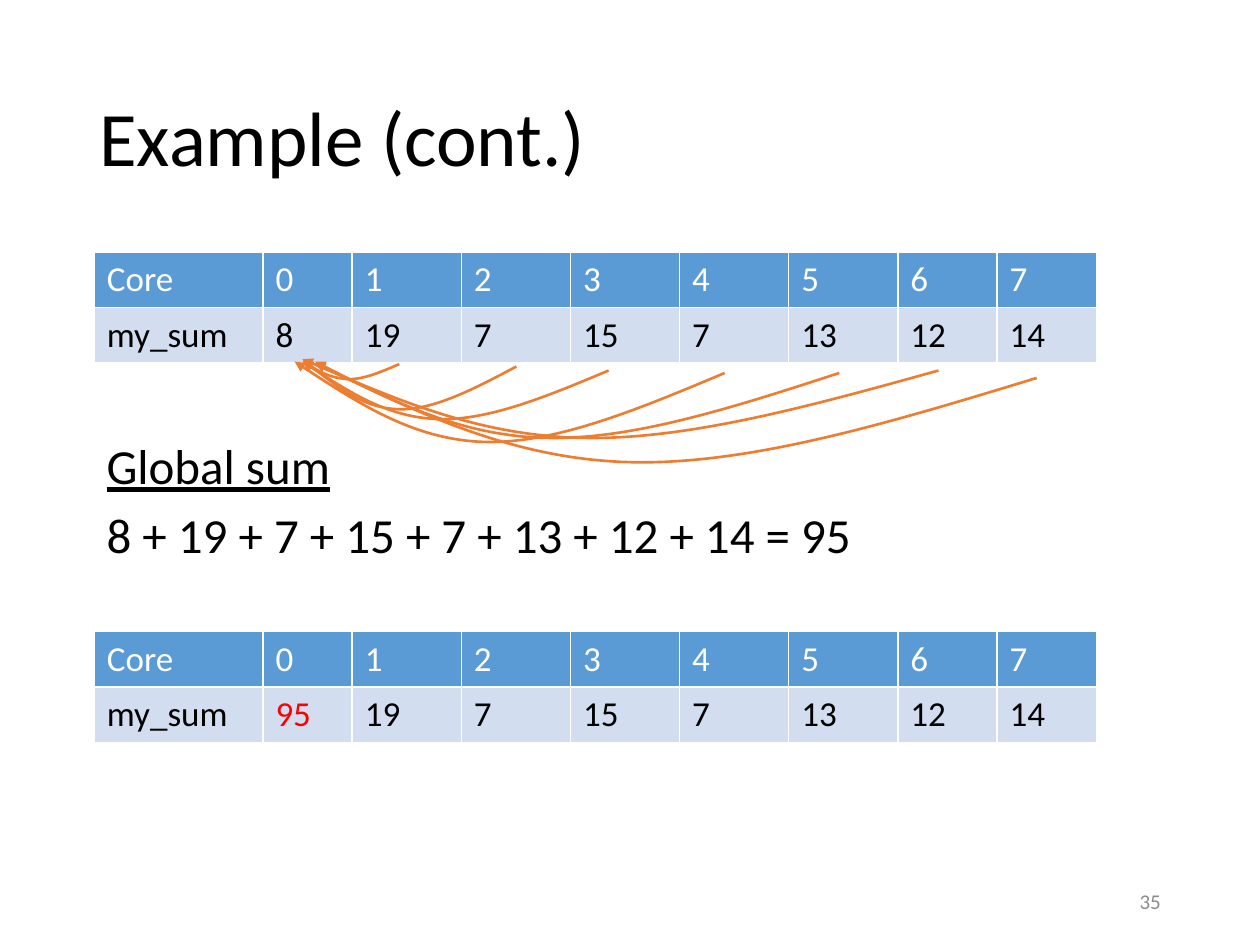
from lxml.etree import SubElement
from pptx import Presentation
from pptx.dml.color import RGBColor
from pptx.enum.text import MSO_ANCHOR, PP_ALIGN
from pptx.oxml.ns import qn
from pptx.util import Cm, Pt

hues = {
    "black": "000000", "white": "FFFFFF", "head": "5B9BD5", "band": "D2DEEF",
    "red": "FF0000", "grey": "8C8C8C", "curve": "ED7D31",
}


def tint(name):
    return RGBColor.from_string(hues[name])


def write(para, text, size, hue="black", line=False):
    run = para.add_run()
    run.text = text
    font = run.font
    font.name, font.size, font.bold = "Calibri", Pt(size), False
    font.underline = line
    font.color.rgb = tint(hue)


deck = Presentation()
deck.slide_width, deck.slide_height = Cm(25.4), Cm(19.05)
slide = deck.slides.add_slide(deck.slide_layouts[5])
shapes = slide.shapes

title = shapes.title
title.left, title.top, title.width, title.height = Cm(1.75), Cm(1.02), Cm(21.9), Cm(3.68)
title.text_frame.vertical_anchor = MSO_ANCHOR.MIDDLE
para = title.text_frame.paragraphs[0]
para.alignment = PP_ALIGN.LEFT
para.line_spacing = 0.9
write(para, "Example (cont.)", 44)

widths = [3.4, 1.8] + [2.2] * 5 + [2] * 2
sums = [8, 19, 7, 15, 7, 13, 12, 14]
total = sum(sums)
for top, first in ((5.08, sums[0]), (12.73, total)):
    rows = [["Core", *range(8)], ["my_sum", first, *sums[1:]]]
    table = shapes.add_table(2, 9, Cm(1.9), Cm(top), Cm(sum(widths)), Cm(2.2)).table
    for col, width in zip(table.columns, widths):
        col.width = Cm(width)
    for r, row in enumerate(rows):
        table.rows[r].height = Cm(1.1)
        for c, value in enumerate(row):
            cell = table.cell(r, c)
            cell.fill.solid()
            cell.fill.fore_color.rgb = tint("band" if r else "head")
            hue = "red" if value == total else "black" if r else "white"
            write(cell.text_frame.paragraphs[0], str(value), 20, hue)

box = shapes.add_textbox(Cm(1.9), Cm(8.66), Cm(15.75), Cm(2.9))
frame = box.text_frame
frame.word_wrap = False
write(frame.paragraphs[0], "Global sum", 28, line=True)
para = frame.add_paragraph()
para.space_before = Pt(5.6)
write(para, " + ".join(map(str, sums)) + f" = {total}", 28)

page = shapes.add_textbox(Cm(17.93), Cm(17.65), Cm(5.72), Cm(1.02))
page.text_frame.word_wrap = True
page.text_frame.vertical_anchor = MSO_ANCHOR.MIDDLE
para = page.text_frame.paragraphs[0]
para.alignment = PP_ALIGN.RIGHT
write(para, "35", 12, "grey")

curves = [
    (8.05, 7.34, 6.1, 7.29, 7.67), (10.41, 7.39, 6.1, 7.24, 8.28),
    (12.27, 7.47, 6.1, 7.29, 8.48), (14.61, 7.52, 5.94, 7.29, 8.94),
    (16.92, 7.52, 6.35, 7.29, 8.86), (18.92, 7.47, 6.1, 7.24, 8.86),
    (20.9, 7.62, 6.35, 7.32, 9.35),
]
for x, y, endx, endy, low in curves:
    start, end = (x, y), (endx, endy)
    near = (x + 0.39 * (endx - x), low)
    far = (x + 0.72 * (endx - x), low - 0.06)
    mids = [((a[0] + b[0]) / 2, (a[1] + b[1]) / 2)
            for a, b in ((start, near), (near, far), (far, end))]
    knots = [mids[0], near, mids[1], far, mids[2], end]
    pen = shapes.build_freeform(Cm(x), Cm(y))
    pen.add_line_segments([(Cm(a), Cm(b)) for a, b in knots], close=False)
    curve = pen.convert_to_shape()
    curve.shadow.inherit = False
    curve.fill.background()
    curve.line.color.rgb = tint("curve")
    curve.line.width = Pt(1.5)
    track = next(curve.element.iter(qn("a:path")))
    legs = track.findall(qn("a:lnTo"))
    for i in (0, 3):
        bend = SubElement(track, qn("a:cubicBezTo"))
        for leg in legs[i:i + 3]:
            bend.append(leg[0])
            track.remove(leg)
    SubElement(curve.line._get_or_add_ln(), qn("a:tailEnd"), type="triangle")

deck.save("out.pptx")
